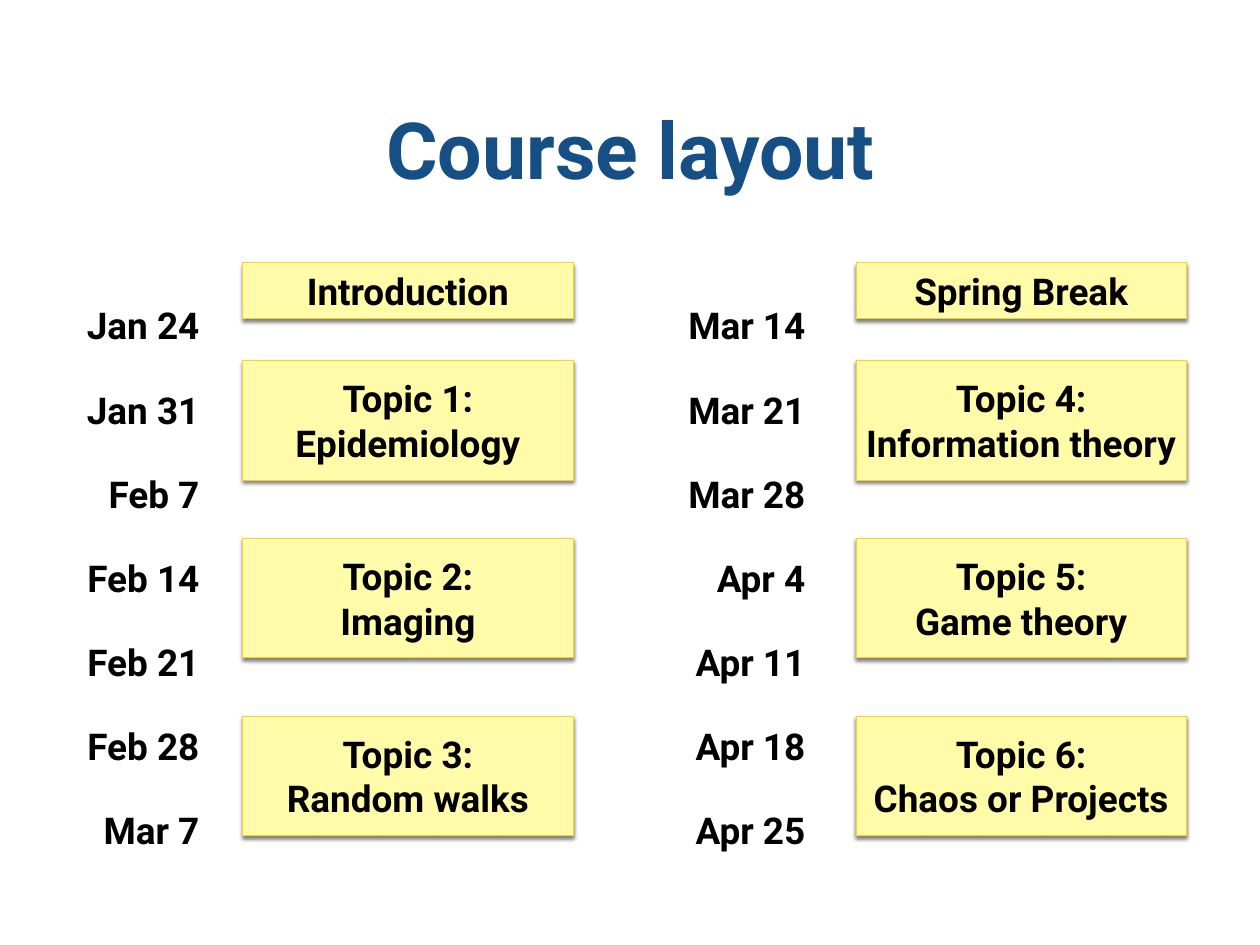
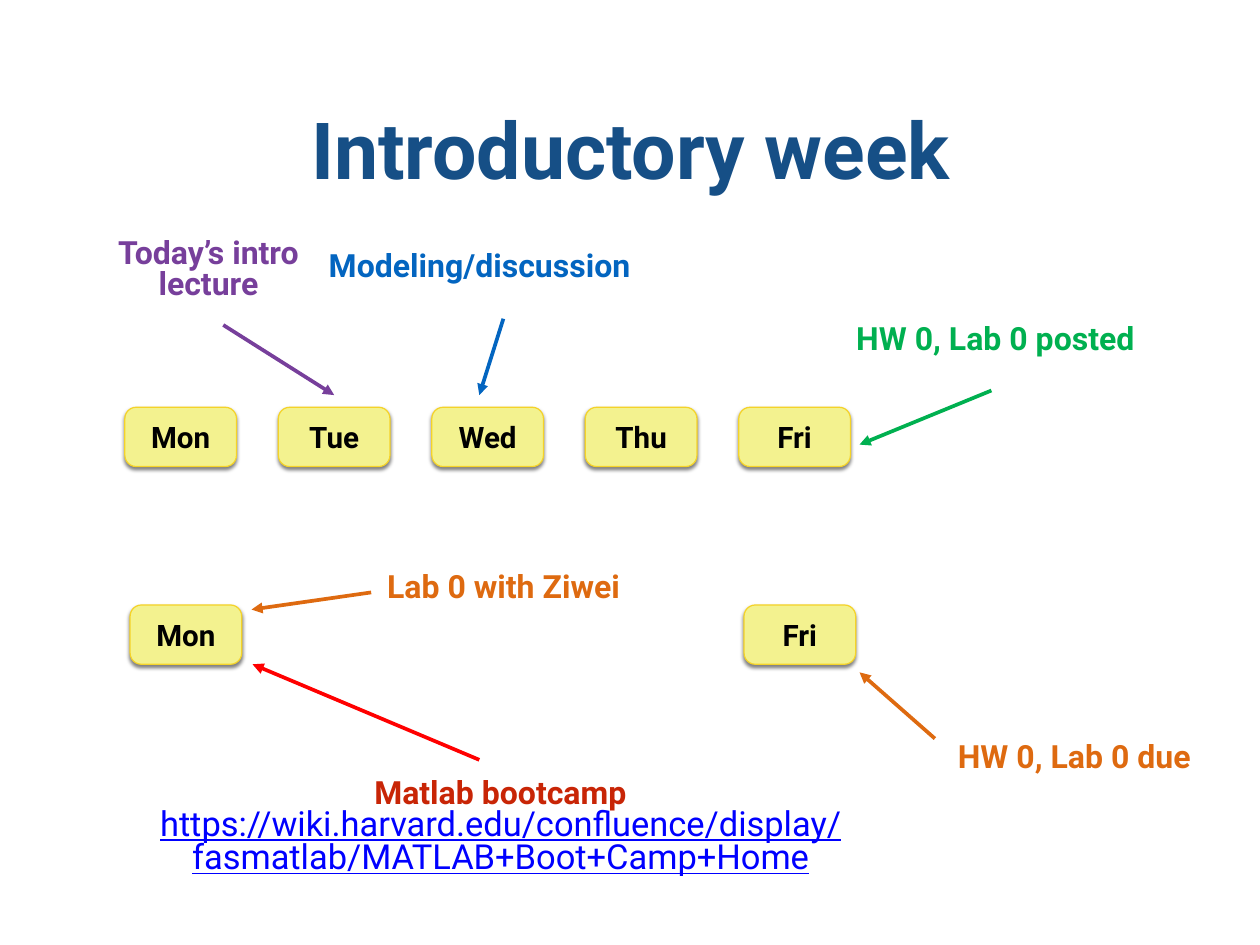
from pptx import Presentation
from pptx.dml.color import RGBColor
from pptx.enum.shapes import MSO_CONNECTOR, MSO_SHAPE as Preset
from pptx.enum.text import MSO_ANCHOR as Anchor, MSO_AUTO_SIZE as AutoSize, PP_ALIGN as Align
from pptx.oxml import parse_xml
from pptx.oxml.ns import nsdecls, qn
from pptx.util import Cm, Pt

FONT = "Roboto"
NAVY = RGBColor(0x16, 0x4F, 0x86)
BLACK = RGBColor(0, 0, 0)
PALE_YELLOW = RGBColor(0xFF, 0xFB, 0xA8)
DAY_YELLOW = RGBColor(0xF3, 0xF2, 0x8F)
GOLD = RGBColor(0xF5, 0xD3, 0x28)
PURPLE = RGBColor(0x77, 0x3F, 0x9B)
BLUE = RGBColor(0x03, 0x65, 0xC0)
LINK_BLUE = RGBColor(0, 0, 0xFF)
GREEN = RGBColor(0, 0xB0, 0x50)
ORANGE = RGBColor(0xDE, 0x6A, 0x10)
RED = RGBColor(0xFF, 0, 0)
DARK_RED = RGBColor(0xC8, 0x25, 0x06)

SHADOW = (
    f'<a:outerShdw {nsdecls("a")} blurRad="{Pt(3)}" dist="{Pt(2)}" dir="5400000" rotWithShape="0">'
    '<a:srgbClr val="000000"><a:alpha val="50000"/></a:srgbClr></a:outerShdw>'
)


class Deck:
    """Holds the shared style and the current slide; lengths are in centimetres."""

    def __init__(self):
        self.presentation = Presentation()
        self.presentation.slide_width = Cm(36.12)
        self.presentation.slide_height = Cm(27.1)
        self.slide = None

    def fill_text(self, shape, text, size, color=BLACK, align=Align.CENTER, spacing=1.0):
        frame = shape.text_frame
        frame.text = text
        frame.word_wrap = True
        frame.auto_size = AutoSize.NONE
        frame.vertical_anchor = Anchor.MIDDLE
        frame.margin_left = frame.margin_right = Cm(0.15)
        frame.margin_top = frame.margin_bottom = Cm(0.15)
        for paragraph in frame.paragraphs:
            paragraph.alignment = align
            paragraph.line_spacing = spacing
            for run in paragraph.runs:
                self.style_run(run, size, color)
        return frame

    def style_run(self, run, size, color, bold=True, underline=None):
        run.font.name = FONT
        run.font.size = Pt(size)
        run.font.bold = bold
        run.font.underline = underline
        run.font.color.rgb = color

    def add_slide(self, title):
        self.slide = self.presentation.slides.add_slide(self.presentation.slide_layouts[5])
        shape = self.slide.shapes.title
        shape.left, shape.top, shape.width, shape.height = Cm(1.22), Cm(1.24), Cm(33.71), Cm(6)
        self.fill_text(shape, title, 64, NAVY)

    def add_text(self, text, left, top, width, height, size=26, **style):
        box = self.slide.shapes.add_textbox(Cm(left), Cm(top), Cm(width), Cm(height))
        return self.fill_text(box, text, size, **style)

    def add_box(self, preset, text, left, top, width, height, size, fill, line_width):
        shape = self.slide.shapes.add_shape(preset, Cm(left), Cm(top), Cm(width), Cm(height))
        shape.fill.solid()
        shape.fill.fore_color.rgb = fill
        shape.line.color.rgb = GOLD
        shape.line.width = Pt(line_width)
        shape.shadow.inherit = False
        shape._element.spPr.find(qn("a:effectLst")).append(parse_xml(SHADOW))
        self.fill_text(shape, text, size)
        return shape

    def add_topic(self, text, left, top, height):
        self.add_box(Preset.RECTANGLE, text, left, top, 9.47, height, 30, PALE_YELLOW, 0.75)

    def add_day(self, text, left, top):
        shape = self.add_box(Preset.ROUNDED_RECTANGLE, text, left, top, 3.2, 1.7, 24, DAY_YELLOW, 1)
        shape.adjustments[0] = 0.19

    def add_arrow(self, start, end, color):
        points = [Cm(value) for value in (*start, *end)]
        arrow = self.slide.shapes.add_connector(MSO_CONNECTOR.STRAIGHT, *points)
        arrow.line.color.rgb = color
        arrow.line.width = Pt(3)
        properties = arrow._element.spPr
        properties.find(qn("a:ln")).append(parse_xml(f'<a:tailEnd {nsdecls("a")} type="triangle"/>'))
        properties.append(parse_xml(f'<a:effectLst {nsdecls("a")}/>'))


def build_course_layout(deck):
    deck.add_slide("Course layout")
    # Each half: right edge of the dates, left edge of the boxes, dates, heading, topics
    halves = [
        (5.87, 6.96, ["Jan 24", "Jan 31", "Feb 7", "Feb 14", "Feb 21", "Feb 28", "Mar 7"],
         "Introduction", ["Topic 1:\nEpidemiology", "Topic 2:\nImaging", "Topic 3:\nRandom walks"]),
        (23.24, 24.54, ["Mar 14", "Mar 21", "Mar 28", "Apr 4", "Apr 11", "Apr 18", "Apr 25"],
         "Spring Break",
         ["Topic 4:\nInformation theory", "Topic 5:\nGame theory", "Topic 6:\nChaos or Projects"]),
    ]
    for dates_right, box_left, dates, heading, topics in halves:
        deck.add_text("\n".join(dates), dates_right - 4, 7.32, 4, 17.35, size=30,
                      align=Align.RIGHT, spacing=1.9)
        deck.add_topic(heading, box_left, 7.54, 1.6)
        for row, topic in enumerate(topics):
            deck.add_topic(topic, box_left, 10.34 + 5.1 * row, 3.43)


def build_introductory_week(deck):
    deck.add_slide("Introductory week")

    # Days of the two weeks
    day_pitch = 4.4
    for column, day in enumerate(["Mon", "Tue", "Wed", "Thu", "Fri"]):
        deck.add_day(day, 3.58 + day_pitch * column, 11.68)
    for column, day in [(0, "Mon"), (4, "Fri")]:
        deck.add_day(day, 3.73 + day_pitch * column, 17.35)

    # Events: text, place, colour
    events = [
        ("Today’s intro lecture", (3.2, 6.2, 5.56, 3.12), PURPLE),
        ("Modeling/discussion", (8.94, 7.11, 9.63, 1.17), BLUE),
        ("HW 0, Lab 0 posted", (24.36, 8.76, 8.36, 2.06), GREEN),
        ("Lab 0 with Ziwei", (10.26, 16.31, 8.36, 1.17), ORANGE),
        ("HW 0, Lab 0 due", (26.62, 21.18, 8.36, 1.17), ORANGE),
    ]
    for text, place, color in events:
        deck.add_text(text, *place, color=color, spacing=0.8)

    # Bootcamp and its address
    bootcamp = deck.add_text(
        "Matlab bootcamp\n"
        "https://wiki.harvard.edu/confluence/display/fasmatlab/MATLAB+Boot+Camp+Home",
        2.97, 22.25, 22.76, 3, color=DARK_RED, spacing=0.8)
    deck.style_run(bootcamp.paragraphs[1].runs[0], 28, LINK_BLUE, bold=False, underline=True)

    # Arrows from events to days
    arrows = [
        ((6.4, 9.32), (9.58, 11.33), PURPLE),
        ((14.43, 9.14), (13.74, 11.33), BLUE),
        ((28.42, 11.2), (24.64, 12.75), GREEN),
        ((10.64, 16.99), (7.21, 17.48), ORANGE),
        ((26.8, 21.18), (24.64, 19.28), ORANGE),
        ((13.74, 21.79), (7.24, 19.05), RED),
    ]
    for start, end, color in arrows:
        deck.add_arrow(start, end, color)


def main():
    deck = Deck()
    build_course_layout(deck)
    build_introductory_week(deck)
    deck.presentation.save("out.pptx")


if __name__ == "__main__":
    main()
